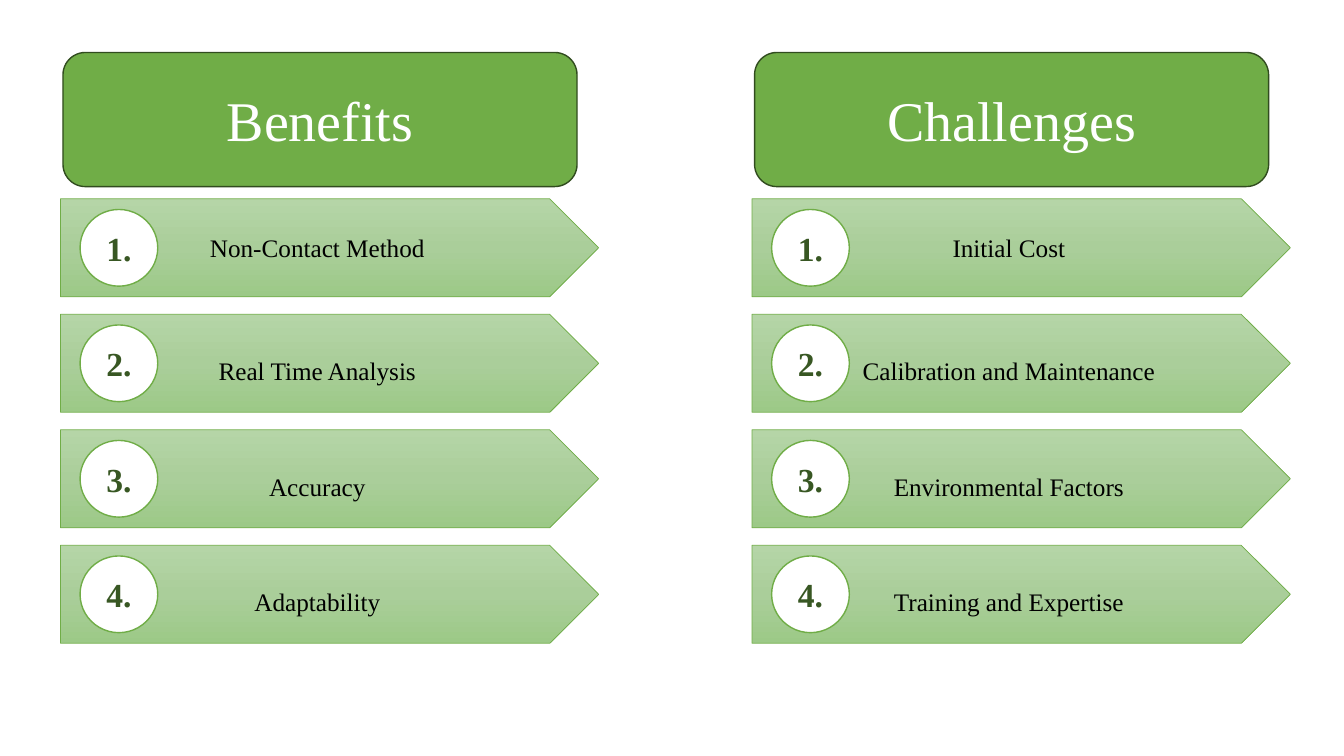
"""Build a slide that sets four benefits beside four challenges."""
import copy
import dataclasses

import pptx
import pptx.dml.color
import pptx.enum.shapes
import pptx.enum.text
import pptx.oxml.ns
import pptx.util

Pt = pptx.util.Pt
RGB = pptx.dml.color.RGBColor.from_string
SHAPES = pptx.enum.shapes.MSO_SHAPE


@dataclasses.dataclass(frozen=True)
class Theme:
    font: str = "Times New Roman"
    green: str = "70AD47"
    heading_edge: str = "314C1F"
    number_ink: str = "385723"
    white: str = "FFFFFF"
    black: str = "000000"
    arrow_shades: tuple = ("B5D5A7", "AACE9A", "9CC987")
    heading_size: int = 40
    number_size: int = 24
    item_size: int = 18


theme = Theme()


def add_panel(kind, left, top, width, height, edge, edge_width):
    panel = slide.shapes.add_shape(kind, Pt(left), Pt(top), Pt(width), Pt(height))
    panel.shadow.inherit = False
    panel.line.color.rgb = RGB(edge)
    panel.line.width = Pt(edge_width)
    return panel


def write(panel, text, size, color, bold=False, line_spacing=None):
    panel.text_frame.word_wrap = True
    panel.text_frame.vertical_anchor = pptx.enum.text.MSO_ANCHOR.MIDDLE
    paragraph = panel.text_frame.paragraphs[0]
    paragraph.alignment = pptx.enum.text.PP_ALIGN.CENTER
    paragraph.line_spacing = line_spacing
    run = paragraph.add_run()
    run.text = text
    run.font.name = theme.font
    run.font.size = Pt(size)
    run.font.bold = bold
    run.font.color.rgb = RGB(color)


deck = pptx.Presentation()
deck.slide_width, deck.slide_height = Pt(960), Pt(540)
slide = deck.slides.add_slide(deck.slide_layouts[6])

columns = [
    ("Benefits", 43.2,
     ["Non-Contact Method", "Real Time Analysis", "Accuracy", "Adaptability"]),
    ("Challenges", 537.2,
     ["Initial Cost", "Calibration and Maintenance", "Environmental Factors",
      "Training and Expertise"]),
]
first_row, row_pitch = 142, 82.5

for title, left, items in columns:
    heading = add_panel(SHAPES.ROUNDED_RECTANGLE, left + 1.8, 37.5, 367.2, 95.8,
                        theme.heading_edge, 1)
    heading.fill.solid()
    heading.fill.fore_color.rgb = RGB(theme.green)
    write(heading, title, theme.heading_size, theme.white)

    for row, item in enumerate(items):
        top = first_row + row * row_pitch
        arrow = add_panel(SHAPES.PENTAGON, left, top, 384.5, 70, theme.green, 0.5)
        arrow.fill.gradient()
        arrow.fill.gradient_angle = 270
        stops = arrow.fill.gradient_stops
        stop_list = arrow.element.spPr.find(".//" + pptx.oxml.ns.qn("a:gsLst"))
        stop_list.insert(1, copy.deepcopy(stop_list[0]))
        for stop, shade, position in zip(stops, theme.arrow_shades, (0, 0.5, 1)):
            stop.color.rgb = RGB(shade)
            stop.position = position
        write(arrow, item, theme.item_size, theme.black,
              line_spacing=1.5 if row else None)

        number = add_panel(SHAPES.FLOWCHART_CONNECTOR, left + 14, top + 7.6,
                           55.5, 54.8, theme.green, 1)
        number.fill.solid()
        number.fill.fore_color.rgb = RGB(theme.white)
        write(number, f"{row + 1}.", theme.number_size, theme.number_ink, bold=True)

deck.save("out.pptx")
